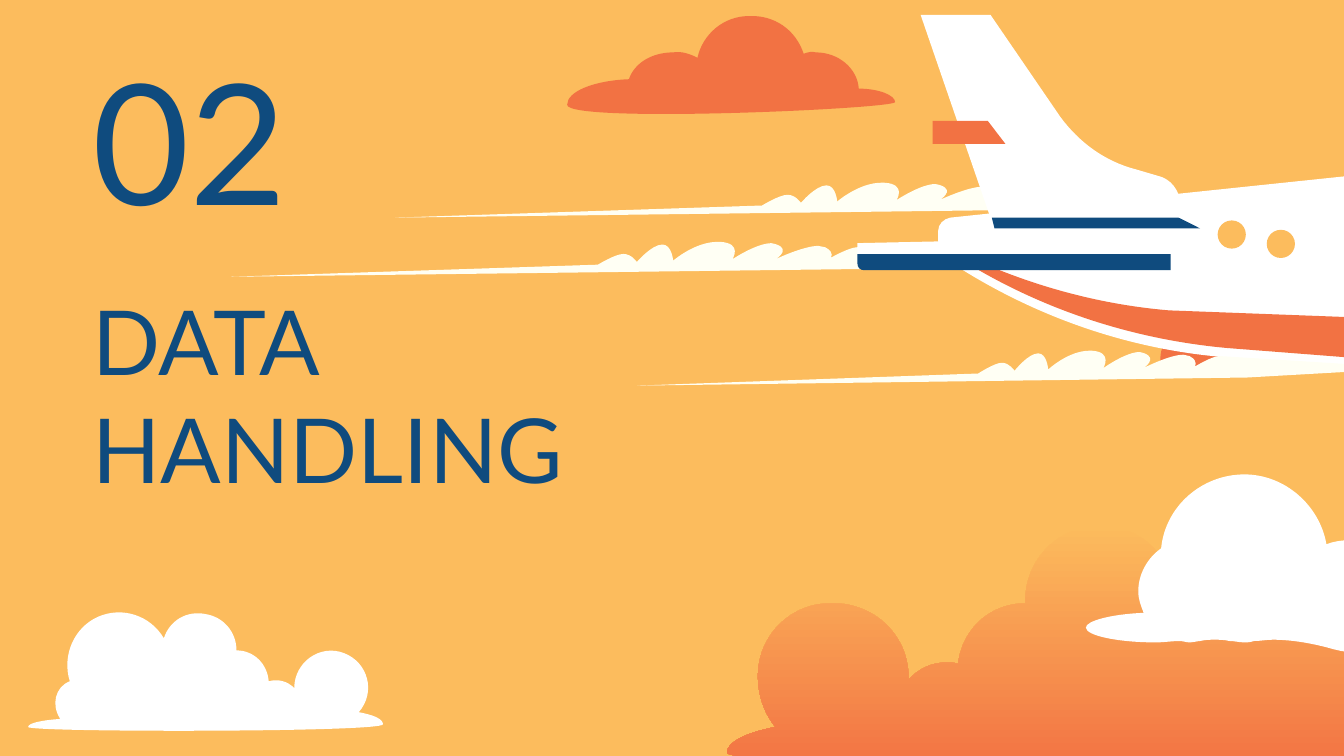
from itertools import groupby

from pptx import Presentation
from pptx.dml.color import RGBColor
from pptx.enum.shapes import MSO_SHAPE as Shape
from pptx.enum.text import MSO_ANCHOR as Anchor, MSO_AUTO_SIZE as AutoSize
from pptx.oxml.ns import qn
from pptx.oxml.xmlchemy import OxmlElement
from pptx.util import Pt

APRICOT = RGBColor(0xFC, 0xBC, 0x5D)
CORAL = RGBColor(0xF2, 0x72, 0x43)
NAVY = RGBColor(0x0F, 0x4B, 0x7E)
WHITE = RGBColor(0xFF, 0xFF, 0xFF)
IVORY = RGBColor(0xFF, 0xFF, 0xF4)

GRID = 0.72

SUNSET_CLOUD = """M 577 541 C 569 531 564 518 564 503 564 474 587 450 616 449
649 447 676 472 676 504 L 676 506 C 683 498 693 493 704 493 707 493 710 493 713 494
716 468 737 449 763 449 L 763 447 C 763 416 788 391 819 391 844 391 865 408 872 430
887 406 914 390 944 391 983 393 1015 425 1019 463 1019 474 1018 485 1015 494
1028 500 1037 512 1037 527 1037 536 1034 544 1029 551 1057 553 1078 558 1078 564
1078 572 541 573 541 560 541 552 556 545 577 541"""

RIGHT_CLOUD = """M 926 353 C 956 353 982 376 987 405 992 403 998 402 1004 402
1005 402 1006 402 1007 402 1027 403 1043 418 1045 438 1046 444 1045 451 1044 456
1060 458 1072 463 1072 471 1072 478 1057 485 1038 485 1031 485 1024 484 1019 482
1014 484 1009 485 1004 485 1000 485 996 484 992 483 978 479 962 476 947 476
942 476 938 477 933 477 930 478 928 478 926 478 922 478 919 477 915 477
911 476 907 476 904 476 900 476 897 476 893 477 891 477 888 478 885 478
883 478 880 477 878 477 872 477 866 478 860 478 832 478 808 473 808 467
808 462 827 457 851 456 849 451 847 446 847 440 847 427 854 415 864 408
867 377 894 353 926 353"""

TOP_CLOUD = """M 639 66 C 638 51 624 39 607 39 604 38 601 39 598 40
592 22 576 11 557 12 539 12 523 25 519 43 513 40 507 38 501 39
485 39 472 47 468 59 442 60 422 68 422 78 422 92 666 81 666 76 666 71 654 66 639 66"""

LEFT_CLOUD = """M 267 530 C 280 515 274 493 256 486 238 479 219 493 219 512
214 507 207 505 200 507 199 494 189 484 176 484 176 470 166 459 153 457
139 454 126 462 122 475 112 458 91 451 73 459 55 467 46 488 52 507
41 511 38 525 45 535 31 536 21 538 21 541 21 545 285 545 285 539 285 535 278 532 267 530"""

SMALL_CLOUD = """M 968 266 C 967 265 966 264 966 262 965 258 958 254 954 252
953 252 952 251 951 249 947 243 939 240 932 242 929 242 927 241 925 239
920 236 915 234 909 234 899 234 890 240 886 249 884 247 881 246 878 246
867 246 860 265 865 275 864 276 972 277 972 272 972 269 970 267 968 266"""

TRAIL = """M 362 0 C 345 0 329 14 329 14 329 14 328 2 321 2 313 2 302 15 302 15
302 15 298 9 292 9 286 9 273 17 273 17 L 0 26 488 20 620 13 466 4
C 460 4 446 12 446 12 446 12 450 8 442 4 440 3 439 3 437 3 426 3 405 13 405 13
405 13 417 6 406 2 405 2 404 1 402 1 391 1 373 13 373 13 373 13 381 1 364 0"""

FUSELAGE = """M 1003 274 L 913 266 C 836 260 762 233 698 189 L 698 172
C 698 167 702 163 707 162 L 1003 131"""
BELLY_STRIPE = """M 698 180 L 698 182 C 762 226 836 252 913 259 L 1003 266 1003 236 870 231
C 810 226 751 208 698 180"""
TAIL_BASE = """M 737 16 L 738 162 740 170 893 170 877 162 877 155
C 877 146 871 138 862 135 L 845 131 C 822 124 803 110 789 91 L 737 16"""
TAIL_FIN = """M 789 87 L 737 11 685 11 737 162 878 162 878 151
C 878 142 871 133 862 131 L 845 126 C 822 120 803 106 789 87"""
ENGINE_TOP = "M 871 189 L 638 189 638 181 871 176"
ENGINE_BASE = "M 638 189 L 638 196 C 638 199 640 201 643 201 L 871 201 871 189"
TAIL_MARK = "M 694 90 L 694 107 748 107 735 90"


def read_outline(outline):
    points, curve_starts = [], []
    command = "M"
    for is_command, group in groupby(outline.split(), str.isalpha):
        if is_command:
            command = next(group)
            continue
        numbers = [int(token) for token in group]
        pairs = list(zip(numbers[::2], numbers[1::2]))
        if command == "C":
            curve_starts += range(len(points), len(points) + len(pairs), 3)
        points += pairs
    return points, curve_starts


def bend(shape, curve_starts):
    lines = list(shape.element.iter(qn("a:lnTo")))
    for start in curve_starts:
        curve = OxmlElement("a:cubicBezTo")
        controls = lines[start - 1:start + 2]
        controls[0].addprevious(curve)
        for line in controls:
            curve.append(line[0])
            line.getparent().remove(line)


def write_text(box, text, *, font, size, color, anchor=Anchor.TOP):
    frame = box.text_frame
    frame.word_wrap = True
    frame.auto_size = AutoSize.NONE
    frame.vertical_anchor = anchor
    frame.margin_left = frame.margin_right = Pt(7.2)
    frame.margin_top = frame.margin_bottom = Pt(7.2)
    para = frame.paragraphs[0]
    para.text = text
    for span in para.runs:
        span.font.name = font
        span.font.size = Pt(size)
        span.font.color.rgb = color


class SlideBuilder:
    font = "Lato"
    text_color = NAVY

    def __init__(self, deck):
        self.page = deck.slides.add_slide(deck.slide_layouts[6])
        self.page.background.fill.solid()
        self.page.background.fill.fore_color.rgb = APRICOT

    def paint(self, shape, colors):
        shape.shadow.inherit = False
        shape.line.fill.background()
        if len(colors) == 1:
            shape.fill.solid()
            shape.fill.fore_color.rgb = colors[0]
            return
        shape.fill.gradient()
        shape.fill.gradient_angle = 270
        for stop, color in zip(shape.fill.gradient_stops, colors):
            stop.color.rgb = color

    def outline(self, outline, *colors, left=0, top=0, stretch=1):
        points, curve_starts = read_outline(outline)
        places = [(Pt(left + x * GRID * stretch), Pt(top + y * GRID)) for x, y in points]
        builder = self.page.shapes.build_freeform(*places[0], scale=1.0)
        builder.add_line_segments(places[1:], close=True)
        shape = builder.convert_to_shape()
        bend(shape, curve_starts)
        self.paint(shape, colors)

    def trail(self, left, top, stretch=1):
        self.outline(TRAIL, IVORY, left=left, top=top, stretch=stretch)

    def window(self, left, top):
        size = Pt(15.1)
        shape = self.page.shapes.add_shape(Shape.OVAL, Pt(left), Pt(top), size, size)
        self.paint(shape, [APRICOT])

    def text(self, text, left, top, width, height, size, anchor=Anchor.TOP):
        box = self.page.shapes.add_textbox(Pt(left), Pt(top), Pt(width), Pt(height))
        write_text(box, text, font=self.font, size=size, color=self.text_color, anchor=anchor)


def main():
    deck = Presentation()
    deck.slide_width = Pt(720)
    deck.slide_height = Pt(405)
    slide = SlideBuilder(deck)

    slide.outline(SUNSET_CLOUD, APRICOT, CORAL)
    slide.outline(RIGHT_CLOUD, WHITE)
    slide.outline(TOP_CLOUD, CORAL)
    slide.outline(LEFT_CLOUD, WHITE)

    slide.text("DATA\nHANDLING", 42.5, 146.2, 303.8, 100.8, 48)
    slide.text("02", 42.5, 41, 248.4, 66.2, 90, Anchor.MIDDLE)

    slide.trail(211.7, 97.9)
    slide.outline(SMALL_CLOUD, CORAL)
    slide.trail(123.8, 129.6)
    for outline, color in (
        (FUSELAGE, WHITE),
        (BELLY_STRIPE, CORAL),
        (TAIL_BASE, NAVY),
        (TAIL_FIN, WHITE),
        (ENGINE_TOP, WHITE),
        (ENGINE_BASE, NAVY),
    ):
        slide.outline(outline, color)
    slide.window(652.3, 118.1)
    slide.window(678.6, 123.1)
    slide.outline(TAIL_MARK, CORAL)
    slide.trail(341.3, 187.9, stretch=0.93)

    deck.save("out.pptx")


if __name__ == "__main__":
    main()
